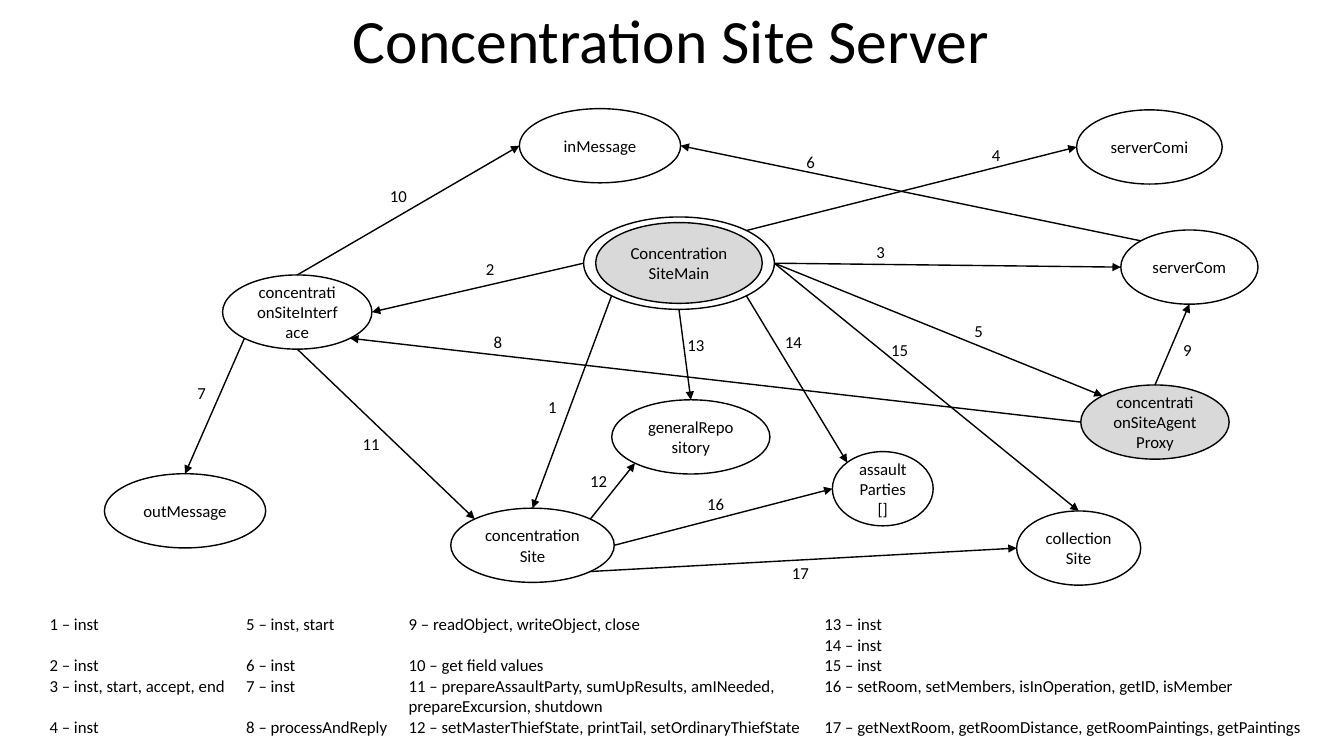
from lxml import etree
from pptx import Presentation
from pptx.dml.color import RGBColor
from pptx.enum.shapes import MSO_CONNECTOR, MSO_SHAPE
from pptx.enum.text import MSO_ANCHOR, PP_ALIGN
from pptx.oxml.ns import qn
from pptx.util import Pt

OVAL = MSO_SHAPE.OVAL
STRAIGHT = MSO_CONNECTOR.STRAIGHT
MIDDLE = MSO_ANCHOR.MIDDLE
CENTER = PP_ALIGN.CENTER
LEFT = PP_ALIGN.LEFT

FONT = "Calibri"
BLACK, WHITE, GRAY = "000000", "FFFFFF", "D9D9D9"
NODE_HEIGHT = 53


def color(hex_string):
    return RGBColor.from_string(hex_string)


def format_text(text_frame, size=12, alignment=LEFT):
    for paragraph in text_frame.paragraphs:
        paragraph.alignment = alignment
        for run in paragraph.runs:
            run.font.name = FONT
            run.font.size = Pt(size)
            run.font.color.rgb = color(BLACK)


presentation = Presentation()
presentation.slide_width = Pt(960)
presentation.slide_height = Pt(540)
slide = presentation.slides.add_slide(presentation.slide_layouts[5])

# Title
title = slide.shapes.title
title.left, title.top, title.width, title.height = Pt(-0.5), Pt(-21.5), Pt(960), Pt(104.5)
title.text_frame.text = "Concentration Site Server"
title.text_frame.vertical_anchor = MIDDLE
title.text_frame.paragraphs[0].line_spacing = 0.9
format_text(title.text_frame, 44, CENTER)

# Nodes: name -> left, top, width, height, fill, text
nodes = {
    "main": (416.9, 155, 136.2, 66, WHITE, ""),
    "main core": (425.5, 159, 119, 57.7, GRAY, "ConcentrationSiteMain"),
    "site": (322, 363, 116.8, NODE_HEIGHT, WHITE, "concentrationSite"),
    "com": (800.6, 164.3, 98, NODE_HEIGHT, WHITE, "serverCom"),
    "comi": (769, 78.5, 104, NODE_HEIGHT, WHITE, "serverComi"),
    "interface": (159, 196.4, 106.7, NODE_HEIGHT, WHITE, "concentrationSiteInterface"),
    "proxy": (772, 275, 106, NODE_HEIGHT, GRAY, "concentrationSiteAgentProxy"),
    "in": (371, 77.6, 115.2, NODE_HEIGHT, WHITE, "inMessage"),
    "out": (74.6, 338.4, 115.2, NODE_HEIGHT, WHITE, "outMessage"),
    "repository": (437, 285.6, 113, NODE_HEIGHT, WHITE, "generalRepository"),
    "parties": (594.6, 322.6, 72, NODE_HEIGHT, WHITE, "assaultParties[]"),
    "collection": (726.2, 365, 88.6, NODE_HEIGHT, WHITE, "collectionSite"),
}
for left, top, width, height, fill, text in nodes.values():
    node = slide.shapes.add_shape(OVAL, Pt(left), Pt(top), Pt(width), Pt(height))
    node.shadow.inherit = False
    node.fill.solid()
    node.fill.fore_color.rgb = color(fill)
    node.line.color.rgb = color(BLACK)
    node.line.width = Pt(1)
    if text:
        node.text_frame.text = text
        node.text_frame.word_wrap = True
        node.text_frame.vertical_anchor = MIDDLE
        format_text(node.text_frame, alignment=CENTER)

# Arrows in label order: start node, side, end node, side, label left, label top
DIAGONAL = 0.5 ** 0.5
sides = {
    "N": (0, -1), "S": (0, 1), "W": (-1, 0), "E": (1, 0),
    "NW": (-DIAGONAL, -DIAGONAL), "NE": (DIAGONAL, -DIAGONAL),
    "SW": (-DIAGONAL, DIAGONAL), "SE": (DIAGONAL, DIAGONAL),
}
arrows = [
    ("main", "SW", "site", "N", 384.5, 280),
    ("main", "W", "interface", "E", 340, 181.5),
    ("main", "E", "com", "W", 619, 169),
    ("main", "NE", "comi", "W", 701.5, 99.5),
    ("main", "E", "proxy", "NW", 689, 225.5),
    ("com", "NW", "in", "E", 569, 105),
    ("interface", "SW", "out", "N", 134, 270),
    ("proxy", "W", "interface", "SE", 345.5, 233.5),
    ("proxy", "N", "com", "S", 838, 239),
    ("interface", "N", "in", "W", 271.5, 129),
    ("interface", "S", "site", "NW", 252, 306.5),
    ("site", "NE", "repository", "SW", 414.5, 332.5),
    ("main", "S", "repository", "N", 484, 235.5),
    ("main", "SE", "parties", "NW", 553.5, 233.5),
    ("main", "E", "collection", "N", 629.5, 239),
    ("site", "E", "parties", "W", 498, 349),
    ("site", "SE", "collection", "W", 558.5, 398.5),
]
for number, (start, start_side, end, end_side, label_left, label_top) in enumerate(arrows, 1):
    ends = []
    for name, side in ((start, start_side), (end, end_side)):
        left, top, width, height = nodes[name][:4]
        across, down = sides[side]
        ends += [Pt(left + width / 2 * (1 + across)), Pt(top + height / 2 * (1 + down))]
    arrow = slide.shapes.add_connector(STRAIGHT, *ends)
    arrow.line.color.rgb = color(BLACK)
    arrow.line.width = Pt(1)
    etree.SubElement(arrow.line._get_or_add_ln(), qn("a:tailEnd"), type="triangle")
    etree.SubElement(arrow._element.spPr, qn("a:effectLst"))

    label = slide.shapes.add_textbox(Pt(label_left), Pt(label_top), Pt(27.5), Pt(21.6))
    label.text_frame.word_wrap = True
    label.text_frame.text = str(number)
    format_text(label.text_frame)

# Legend
legend = [
    ["1 – inst", "5 – inst, start", "9 – readObject, writeObject, close", "13 – inst\n14 – inst"],
    ["2 – inst", "6 – inst", "10 – get field values", "15 – inst"],
    ["3 – inst, start, accept, end", "7 – inst",
     "11 – prepareAssaultParty, sumUpResults, amINeeded, prepareExcursion, shutdown",
     "16 – setRoom, setMembers, isInOperation, getID, isMember"],
    ["4 – inst", "8 – processAndReply",
     "12 – setMasterThiefState, printTail, setOrdinaryThiefState",
     "17 – getNextRoom, getRoomDistance, getRoomPaintings, getPaintings"],
]
column_widths = [140.5, 116, 297, 358]
row_heights = [29.3, 14.65, 29.3, 14.65]
table = slide.shapes.add_table(
    len(legend), len(column_widths), Pt(28.2), Pt(439),
    Pt(sum(column_widths)), Pt(sum(row_heights))).table
table.first_row = False
table.horz_banding = False
for column, width in zip(table.columns, column_widths):
    column.width = Pt(width)
for row, height, texts in zip(table.rows, row_heights, legend):
    row.height = Pt(height)
    for cell, text in zip(row.cells, texts):
        cell.margin_top = cell.margin_bottom = Pt(0)
        cell.fill.solid()
        cell.fill.fore_color.rgb = color(WHITE)
        cell.text_frame.text = text
        format_text(cell.text_frame)

presentation.save("out.pptx")
